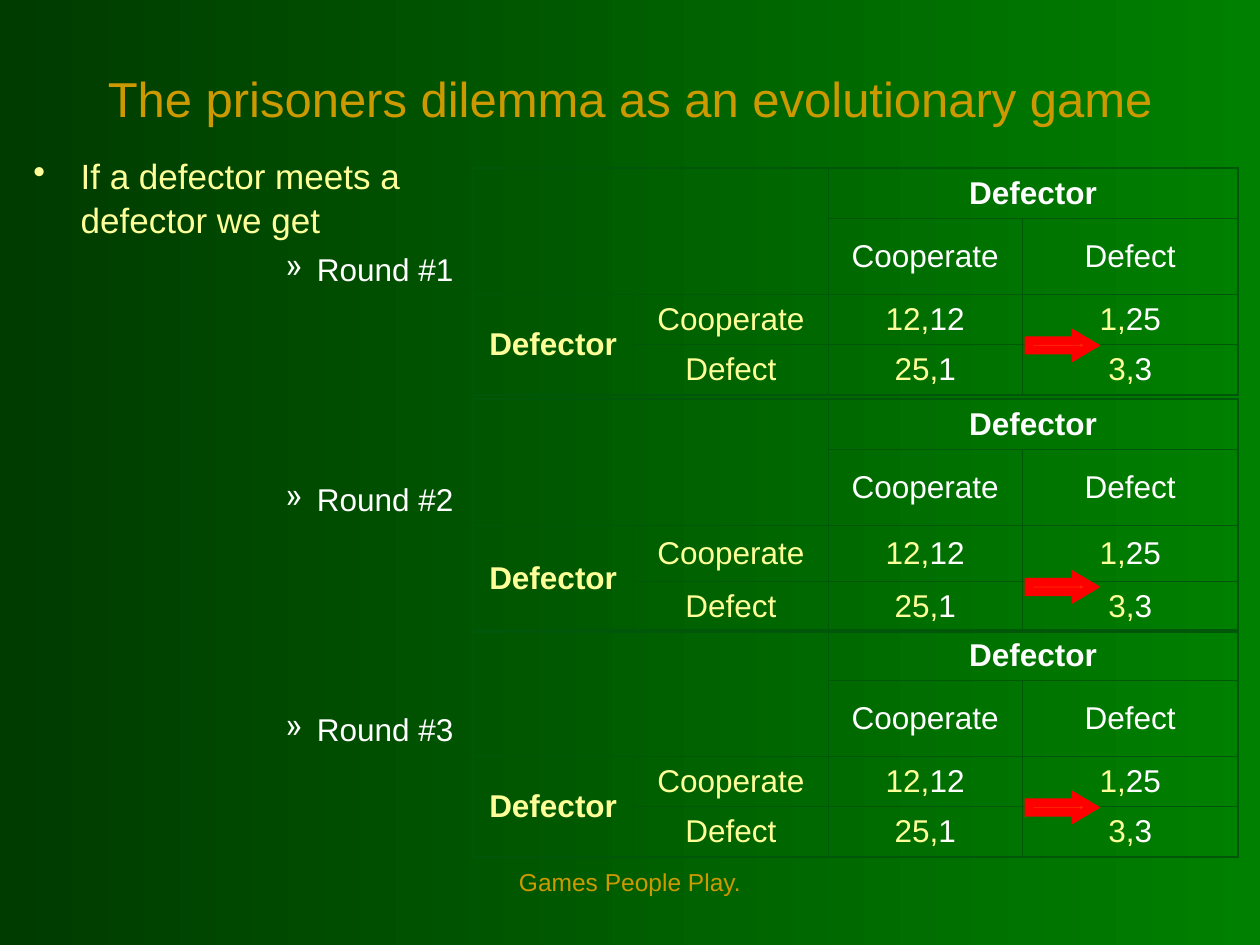
import dataclasses

import lxml.etree
import pptx
import pptx.dml.color
import pptx.enum.shapes
import pptx.enum.text
import pptx.oxml.ns
import pptx.util

Pt = pptx.util.Pt
qn = pptx.oxml.ns.qn
CENTER = pptx.enum.text.PP_ALIGN.CENTER
MIDDLE = pptx.enum.text.MSO_ANCHOR.MIDDLE
TOP = pptx.enum.text.MSO_ANCHOR.TOP


@dataclasses.dataclass(frozen=True)
class Theme:
    font: str = "Arial"
    gold: str = "CC9900"
    row_player: str = "FFFF99"
    column_player: str = "FFFFFF"
    border: str = "00570A"
    arrow_fill: str = "FF3300"
    arrow_line: str = "FF0000"
    background: tuple = ("003B00", "008000")
    title_size: float = 28
    lead_size: float = 20
    body_size: float = 18
    footer_size: float = 14
    outer_border: float = 1.08
    inner_border: float = 0.45


def rgb(color):
    return pptx.dml.color.RGBColor.from_string(color)


class SlideBuilder:
    def __init__(self, page, theme):
        self.page = page
        self.theme = theme

    def background(self):
        fill = self.page.background.fill
        fill.gradient()
        fill.gradient_angle = 0
        for stop, color, position in zip(fill.gradient_stops, self.theme.background, (0, 1)):
            stop.color.rgb = rgb(color)
            stop.position = position

    def style(self, font, size, color, bold=False):
        font.name = self.theme.font
        font.size = Pt(size)
        font.bold = bold
        font.color.rgb = rgb(color)

    def text_box(self, left, top, width, height, anchor=TOP):
        shape = self.page.shapes.add_textbox(Pt(left), Pt(top), Pt(width), Pt(height))
        frame = shape.text_frame
        frame.word_wrap = True
        frame.vertical_anchor = anchor
        return frame

    def caption(self, text, place, size, anchor=TOP):
        """Add one centred gold line of text."""
        para = self.text_box(*place, anchor=anchor).paragraphs[0]
        para.text = text
        para.alignment = CENTER
        self.style(para.font, size, self.theme.gold)

    def bullets(self, place, items):
        """Each item is (text, mark, margin, hanging, space before, size, colour)."""
        frame = self.text_box(*place)
        for index, (text, mark, margin, hanging, before, size, color) in enumerate(items):
            para = frame.add_paragraph() if index else frame.paragraphs[0]
            para.text = text
            para.line_spacing = 1.04
            para.space_before = Pt(before)
            properties = para._p.get_or_add_pPr()
            properties.set("marL", str(Pt(margin)))
            properties.set("indent", str(-Pt(hanging)))
            lxml.etree.SubElement(properties, qn("a:buChar"), char=mark)
            self.style(para.font, size, color)

    def borders(self, cell, outer_sides):
        properties = cell._tc.get_or_add_tcPr()
        for side in "LRTB":
            weight = self.theme.outer_border if side in outer_sides else self.theme.inner_border
            line = lxml.etree.SubElement(properties, qn(f"a:ln{side}"), w=str(Pt(weight)))
            fill = lxml.etree.SubElement(line, qn("a:solidFill"))
            lxml.etree.SubElement(fill, qn("a:srgbClr"), val=self.theme.border)

    def table(self, left, top, widths, heights, merges, contents):
        """Contents maps (row, column) to a list of (text, colour, bold) spans."""
        table = self.page.shapes.add_table(
            len(heights), len(widths), Pt(left), Pt(top), Pt(sum(widths)), Pt(sum(heights))
        ).table
        table.first_row = table.horz_banding = False
        for column, width in zip(table.columns, widths):
            column.width = Pt(width)
        for row, height in zip(table.rows, heights):
            row.height = Pt(height)
        for first, last in merges:
            table.cell(*first).merge(table.cell(*last))
        ends = {(0, "T"), (len(heights) - 1, "B")}
        edges = {(0, "L"), (len(widths) - 1, "R")}
        for r in range(len(heights)):
            for c in range(len(widths)):
                cell = table.cell(r, c)
                bottom = r + (cell.span_height if cell.is_merge_origin else 1) - 1
                right = c + (cell.span_width if cell.is_merge_origin else 1) - 1
                outer = {side for row, side in ends if row in (r, bottom)}
                outer |= {side for column, side in edges if column in (c, right)}
                self.borders(cell, outer)
                cell.fill.background()
                cell.vertical_anchor = MIDDLE
                self.fill_cell(cell, contents.get((r, c), []))

    def fill_cell(self, cell, spans):
        para = cell.text_frame.paragraphs[0]
        para.alignment = CENTER
        for text, color, bold in spans:
            span = para.add_run()
            span.text = text
            self.style(span.font, self.theme.body_size, color, bold)

    def arrow(self, left, top, width, height):
        arrow = self.page.shapes.add_shape(
            pptx.enum.shapes.MSO_SHAPE.RIGHT_ARROW, Pt(left), Pt(top), Pt(width), Pt(height)
        )
        arrow.adjustments[1] = 0.84
        arrow.shadow.inherit = False
        arrow.fill.solid()
        arrow.fill.fore_color.rgb = rgb(self.theme.arrow_fill)
        arrow.line.color.rgb = rgb(self.theme.arrow_line)
        arrow.line.width = Pt(5)
        outline = arrow._element.spPr.find(qn("a:ln"))
        lxml.etree.SubElement(outline, qn("a:miter"), lim="800000")


def payoff_contents(theme):
    rows, columns = theme.row_player, theme.column_player
    contents = {
        (0, 2): [("Defector", columns, True)],
        (2, 0): [("Defector", rows, True)],
    }
    payoffs = ((("12", "12"), ("1", "25")), (("25", "1"), ("3", "3")))
    for i, move in enumerate(("Cooperate", "Defect")):
        contents[1, 2 + i] = [(move, columns, False)]
        contents[2 + i, 1] = [(move, rows, False)]
        for j, (own, other) in enumerate(payoffs[i]):
            contents[2 + i, 2 + j] = [(own + ",", rows, False), (other, columns, False)]
    return contents


def main():
    theme = Theme()
    deck = pptx.Presentation()
    deck.slide_width, deck.slide_height = Pt(720), Pt(540)
    builder = SlideBuilder(deck.slides.add_slide(deck.slide_layouts[6]), theme)

    builder.background()
    builder.caption("Games People Play.", (246, 492, 228, 37.4), theme.footer_size)
    builder.caption("The prisoners dilemma as an evolutionary game",
                    (36, 21.6, 648, 68.4), theme.title_size, MIDDLE)

    items = [("If a defector meets a defector we get", "•", 27, 27, 0,
              theme.lead_size, theme.row_player)]
    for number, before in enumerate((4.5, 109, 109), start=1):
        items.append((f"Round #{number}", "»", 162, 18, before,
                      theme.body_size, theme.column_player))
    builder.bullets((12, 84, 264, 369), items)

    contents = payoff_contents(theme)
    merges = [((0, 0), (1, 1)), ((0, 2), (0, 3)), ((2, 0), (3, 0))]
    rounds = ((28.8, 96), (32.4, 102), (28.8, 96))
    for index, (cooperate_height, arrow_offset) in enumerate(rounds):
        top = 96 + 132 * index
        builder.table(270, top, (92.2, 111, 111, 123.4),
                      (28.8, 43.2, cooperate_height, 28.8), merges, contents)
        builder.arrow(588, top + arrow_offset, 36, 10.8)

    deck.save("out.pptx")


if __name__ == "__main__":
    main()
